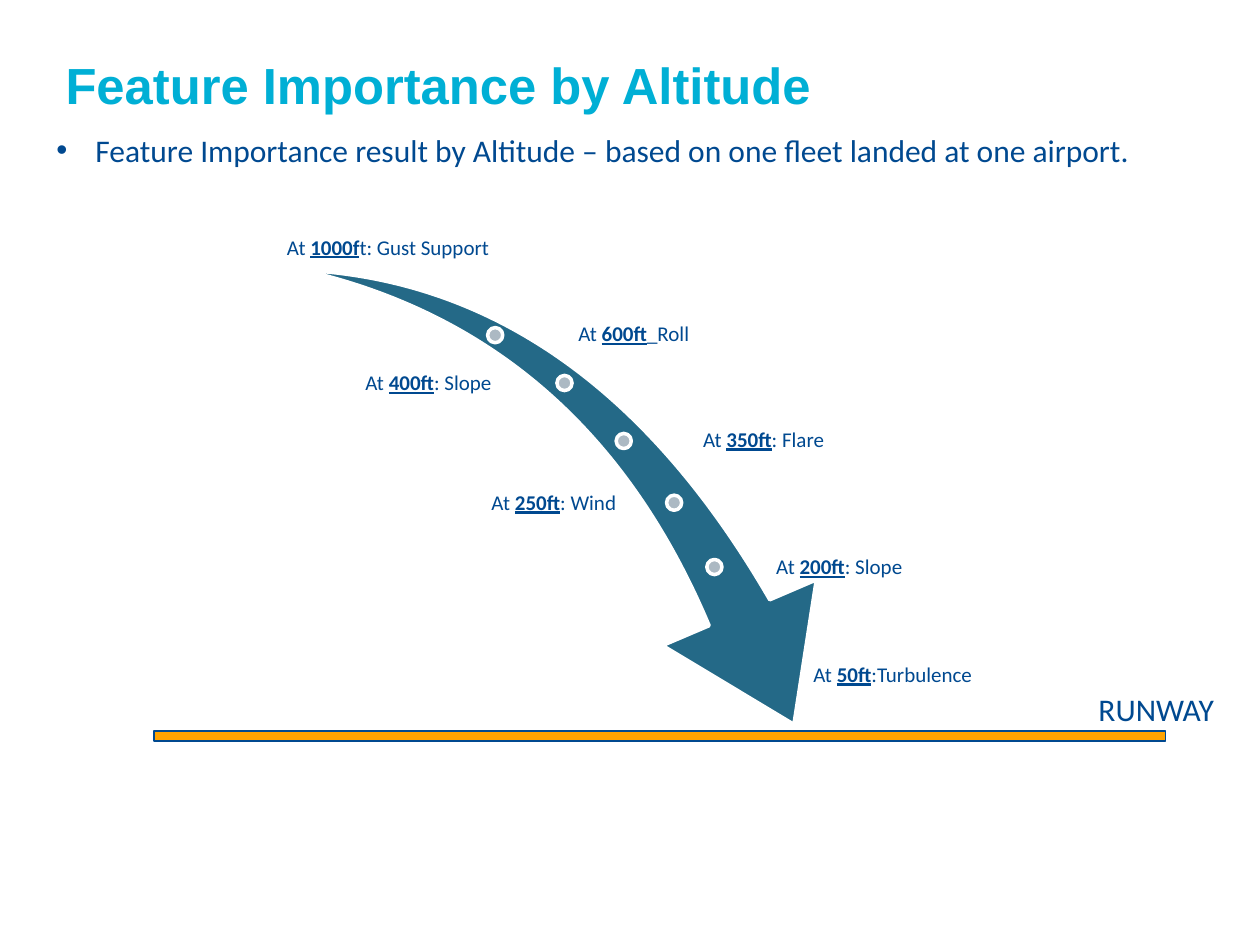
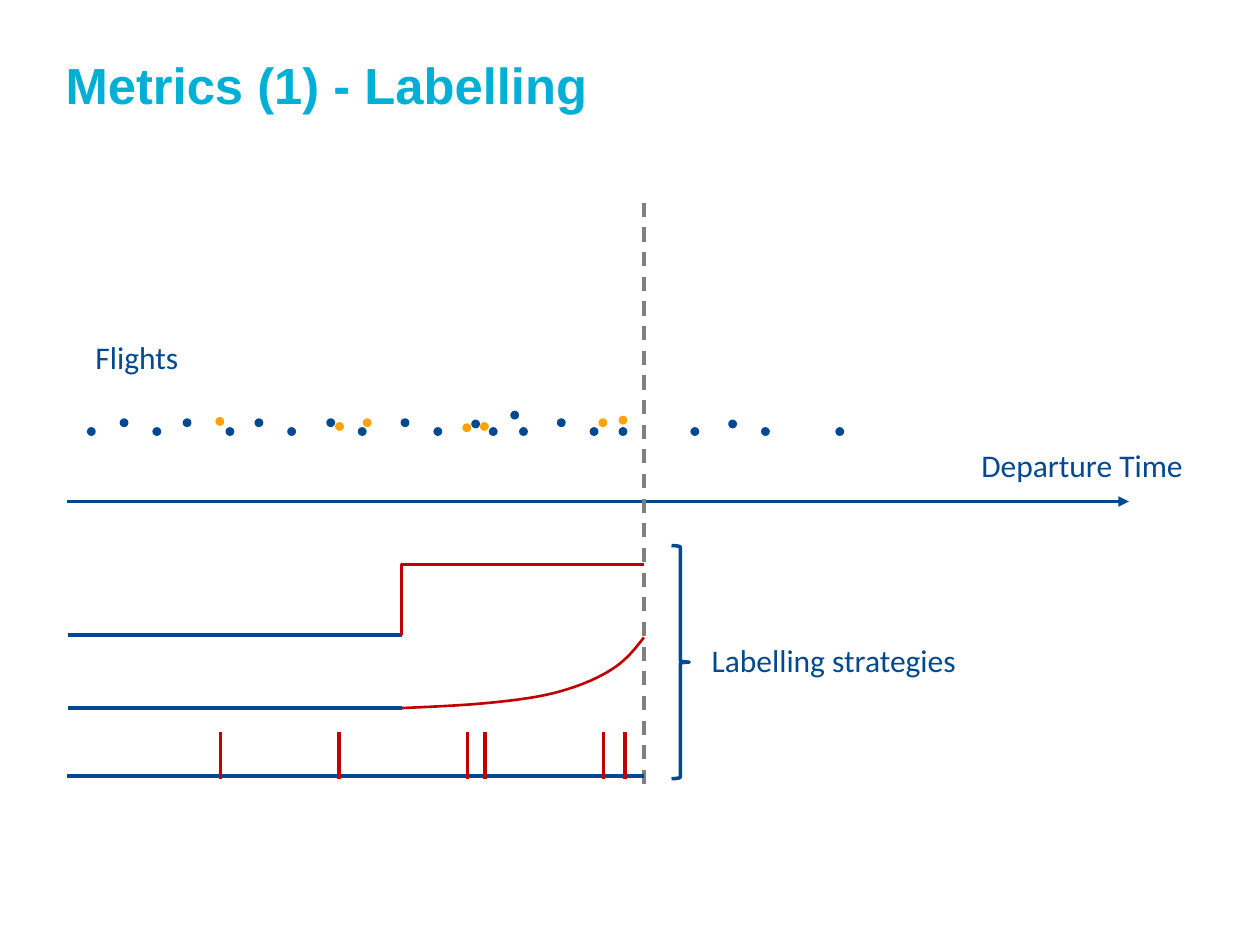
import pptx
import pptx.util
import pptx.dml.color
import pptx.enum.dml
import pptx.enum.shapes
import pptx.enum.text
import pptx.oxml.ns
from lxml import etree

PX = pptx.util.Inches(0.01)
NAVY, CYAN, AMBER, RED = "004990", "00AFD5", "FFA300", "C00000"
TEAL, SILVER, WHITE, GREY = "246987", "ACB9C3", "FFFFFF", "808080"

SHAPE = pptx.enum.shapes.MSO_SHAPE
CONNECTOR = pptx.enum.shapes.MSO_CONNECTOR
ALIGN = pptx.enum.text.PP_ALIGN
ANCHOR = pptx.enum.text.MSO_ANCHOR
AUTO_SIZE = pptx.enum.text.MSO_AUTO_SIZE
DASH = pptx.enum.dml.MSO_LINE

ALTITUDE_LABELS = [
    (186, 123, 244, "1000f", "t: Gust Support", ALIGN.CENTER, ANCHOR.BOTTOM),
    (457, 223, 326, "600ft", "_Roll", ALIGN.LEFT, ANCHOR.MIDDLE),
    (200, 262, 192, "400ft", ": Slope", ALIGN.RIGHT, ANCHOR.MIDDLE),
    (556, 307, 227, "350ft", ": Flare", ALIGN.LEFT, ANCHOR.MIDDLE),
    (200, 357, 291, "250ft", ": Wind", ALIGN.RIGHT, ANCHOR.MIDDLE),
    (614, 408, 169, "200ft", ": Slope", ALIGN.LEFT, ANCHOR.MIDDLE),
    (563, 525, 291, "50ft", ":Turbulence", ALIGN.CENTER, ANCHOR.TOP),
]
PATH_MARKERS = [(387, 260), (442, 298), (489, 344), (529, 393), (561, 444)]

FLIGHT_ROWS = {
    NAVY: {
        339: [69, 121, 179, 228, 284, 344, 388, 412, 468, 491, 548, 604, 663],
        333: [374, 578],
        332: [95, 145, 202, 259, 318, 442],
        326: [405],
    },
    AMBER: {331: [171], 335: [266, 381], 332: [288, 475], 336: [367], 330: [491]},
}
EVENT_TIMES = [175, 269, 371, 385, 479, 496]
RISK_CURVE = [
    [(319, 562), (343, 561), (366, 560), (387, 558)],
    [(387, 558), (407, 556), (424, 554), (440, 550)],
    [(440, 550), (456, 546), (474, 539), (486, 531)],
    [(486, 531), (497, 524), (504, 515), (511, 506)],
]
CURVE_STEPS = 10


def emu(*lengths):
    return [round(length * PX) for length in lengths]


def color(value):
    return pptx.dml.color.RGBColor.from_string(value)


def style_line(line, value, width):
    line.color.rgb = color(value)
    line.width = pptx.util.Pt(width)


def style_shape(shape, fill=None, line=None, width=2):
    shape.shadow.inherit = False
    if fill:
        shape.fill.solid()
        shape.fill.fore_color.rgb = color(fill)
    else:
        shape.fill.background()
    if line:
        style_line(shape.line, line, width)
    else:
        shape.line.fill.background()


def add_shape(slide, kind, box, fill=None, line=None, width=2):
    shape = slide.shapes.add_shape(kind, *emu(*box))
    style_shape(shape, fill, line, width)
    return shape


def add_line(slide, start, end, value=NAVY, width=2, kind=CONNECTOR.STRAIGHT):
    connector = slide.shapes.add_connector(kind, *emu(*start, *end))
    style_line(connector.line, value, width)
    properties = connector._element.spPr
    etree.SubElement(properties, pptx.oxml.ns.qn("a:effectLst"))
    return connector


def add_arrowhead(connector):
    line = connector.line._get_or_add_ln()
    etree.SubElement(line, pptx.oxml.ns.qn("a:tailEnd"), type="triangle")


def set_bend(connector, ratio):
    geometry = connector._element.spPr.find(pptx.oxml.ns.qn("a:prstGeom"))
    guides = geometry.get_or_add_avLst()
    etree.SubElement(guides, pptx.oxml.ns.qn("a:gd"),
                     name="adj1", fmla=f"val {round(ratio * 100000)}")


def add_curve(slide, segments, value, width):
    points = []
    for segment in segments:
        for step in range(1, CURVE_STEPS + 1):
            t = step / CURVE_STEPS
            weights = [(1 - t) ** 3, 3 * t * (1 - t) ** 2, 3 * t * t * (1 - t), t ** 3]
            points.append(emu(*(sum(weight * value for weight, value in zip(weights, axis))
                                for axis in zip(*segment))))
    builder = slide.shapes.build_freeform(*emu(*segments[0][0]))
    builder.add_line_segments(points, close=False)
    style_shape(builder.convert_to_shape(), line=value, width=width)


def add_run(paragraph, text, size, value=NAVY, font="Calibri", strong=False, underline=False):
    run = paragraph.add_run()
    run.text = text
    run.font.name = font
    run.font.size = pptx.util.Pt(size)
    run.font.bold = strong
    run.font.underline = underline
    run.font.color.rgb = color(value)


def add_text(slide, box, text, wrap=True, bullet=False):
    frame = slide.shapes.add_textbox(*emu(*box)).text_frame
    frame.word_wrap = wrap
    frame.auto_size = AUTO_SIZE.SHAPE_TO_FIT_TEXT
    paragraph = frame.paragraphs[0]
    if bullet:
        properties = paragraph._p.get_or_add_pPr()
        indent = emu(31)[0]
        properties.set("marL", str(indent))
        properties.set("indent", str(-indent))
        etree.SubElement(properties, pptx.oxml.ns.qn("a:buFont"), typeface="Arial")
        etree.SubElement(properties, pptx.oxml.ns.qn("a:buChar"), char="•")
    add_run(paragraph, text, 18)


def add_altitude_label(slide, left, top, width, altitude, feature, align, anchor):
    frame = slide.shapes.add_textbox(*emu(left, top, width, 85)).text_frame
    frame.word_wrap = True
    frame.vertical_anchor = anchor
    inset = emu(2)[0]
    frame.margin_left = frame.margin_right = inset
    frame.margin_top = frame.margin_bottom = inset
    paragraph = frame.paragraphs[0]
    paragraph.alignment = align
    paragraph.line_spacing = 0.9
    add_run(paragraph, "At ", 12)
    add_run(paragraph, altitude, 12, strong=True, underline=True)
    add_run(paragraph, feature, 12)


def add_titled_slide(presentation, text):
    slide = presentation.slides.add_slide(presentation.slide_layouts[5])
    title = slide.shapes.title
    title.left, title.top, title.width, title.height = emu(42, 40, 916, 83)
    frame = title.text_frame
    frame.auto_size = AUTO_SIZE.NONE
    frame.vertical_anchor = ANCHOR.TOP
    paragraph = frame.paragraphs[0]
    paragraph.alignment = ALIGN.LEFT
    paragraph.line_spacing = pptx.util.Pt(32.9)
    add_run(paragraph, text, 29, CYAN, "Arial", strong=True)
    return slide


def build_altitude_slide(presentation):
    slide = add_titled_slide(presentation, "Feature Importance by Altitude")
    descent = add_shape(slide, SHAPE.SWOOSH_ARROW, (231, 228, 457, 319), TEAL, WHITE)
    descent.rotation = 73.3
    descent.adjustments[0] = 0.163
    descent.adjustments[1] = 0.314
    for left, top in PATH_MARKERS:
        add_shape(slide, SHAPE.OVAL, (left, top, 12, 12), SILVER, WHITE)
    for label in ALTITUDE_LABELS:
        add_altitude_label(slide, *label)
    add_shape(slide, SHAPE.RECTANGLE, (122, 580, 803, 8), AMBER, NAVY, 1)
    add_text(slide, (862, 543, 117, 37), "RUNWAY", wrap=False)
    add_text(slide, (35, 99, 944, 40),
             "Feature Importance result by Altitude – based on one fleet landed at one airport.",
             bullet=True)


def build_labelling_slide(presentation):
    slide = add_titled_slide(presentation, "Metrics (1) - Labelling")
    add_arrowhead(add_line(slide, (53, 398), (896, 398)))
    for fill, rows in FLIGHT_ROWS.items():
        for top, lefts in rows.items():
            for left in lefts:
                add_shape(slide, SHAPE.OVAL, (left, top, 7, 7), fill)
    add_text(slide, (769, 349, 216, 40), "Departure Time")
    add_text(slide, (66, 263, 87, 40), "Flights", wrap=False)
    present = add_line(slide, (511, 161), (511, 630), GREY)
    present.line.dash_style = DASH.DASH

    add_line(slide, (54, 504), (319, 504))
    step = add_line(slide, (318, 504), (511, 448), RED, 1.5, CONNECTOR.ELBOW)
    set_bend(step, 0.003)
    add_curve(slide, RISK_CURVE, RED, 1.5)
    add_line(slide, (54, 562), (319, 562))
    add_line(slide, (53, 616), (511, 616))
    for time in EVENT_TIMES:
        add_line(slide, (time, 581), (time, 618), RED)

    add_shape(slide, SHAPE.RIGHT_BRACE, (533, 433, 14, 185), line=NAVY)
    add_text(slide, (555, 504, 216, 40), "Labelling strategies", wrap=False)


def main():
    presentation = pptx.Presentation()
    presentation.slide_width, presentation.slide_height = emu(1000, 750)
    build_altitude_slide(presentation)
    build_labelling_slide(presentation)
    presentation.save("out.pptx")


if __name__ == "__main__":
    main()
